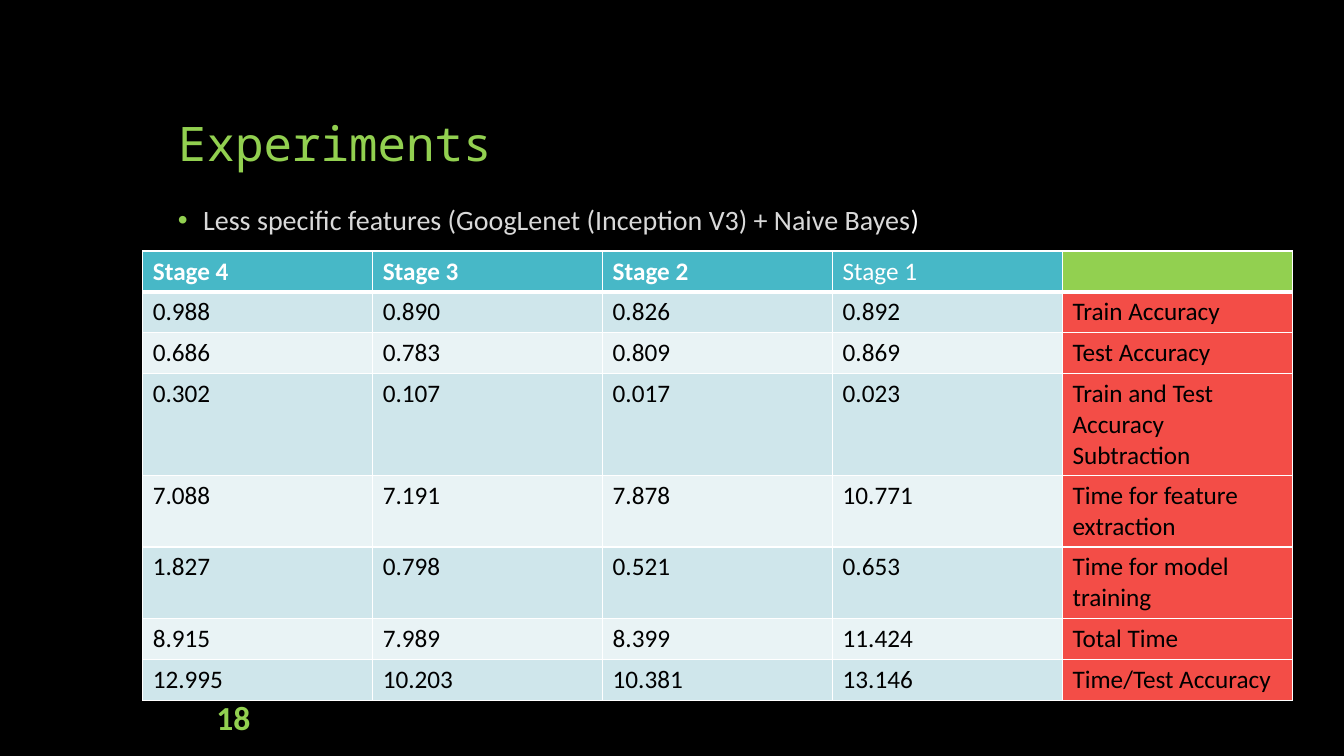
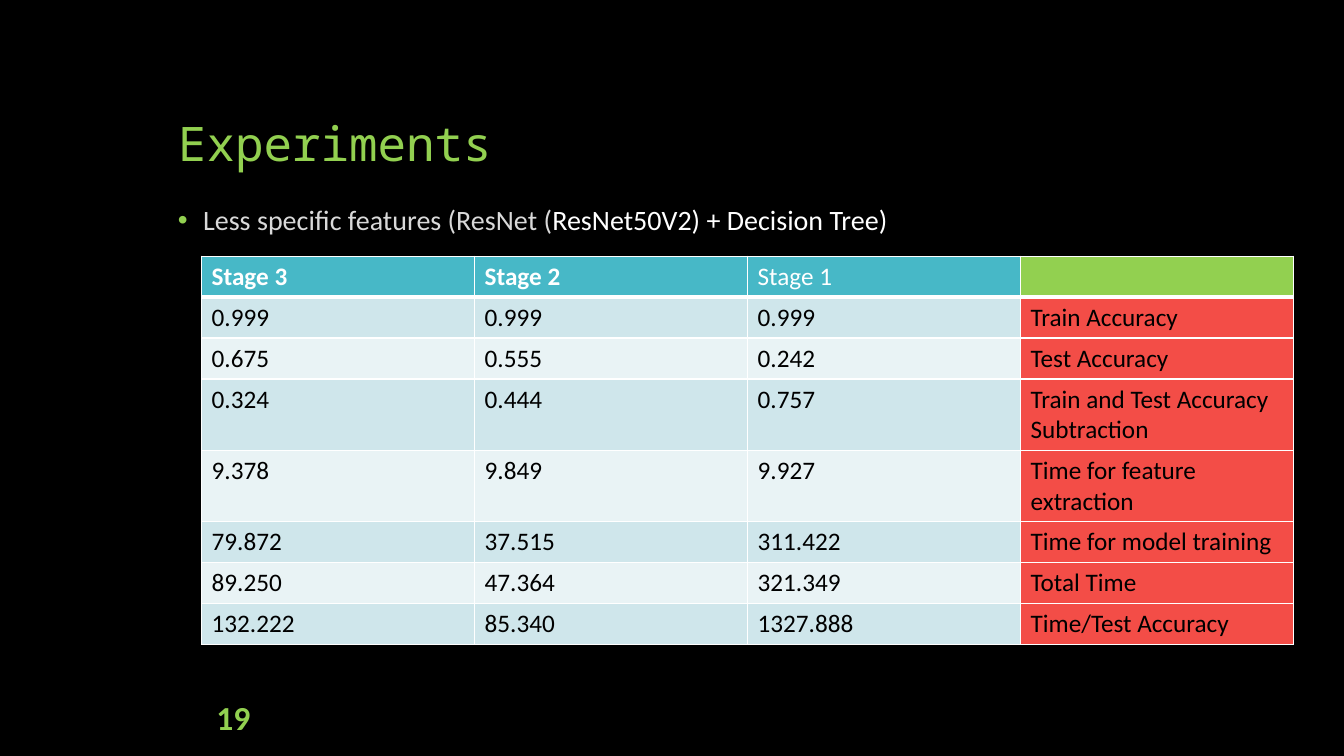
from lxml import etree
from pptx import Presentation
from pptx.dml.color import RGBColor
from pptx.enum.text import MSO_ANCHOR as Anchor, MSO_AUTO_SIZE as AutoSize, PP_ALIGN as Align
from pptx.oxml.ns import qn
from pptx.util import Pt

PX = 9525  # EMU in one px, 96 px to the inch
COLORS = {
    "black": "000000", "white": "FFFFFF", "green": "92D050", "gray": "D9D9D9",
    "teal": "47B8C7", "band_dark": "CFE6EB", "band_light": "E9F3F5", "red": "F34D47",
}
TITLE_FONT, BODY_FONT = "Noto Sans Mono", "Calibri"

# Boxes shared by the slides: left, top, width, height
SLIDE_SIZE = (1280, 720)
TITLE_BOX = (160, 48, 960, 120)
BULLET_BOX = (160, 192, 960, 448)
NUMBER_BOX = (160, 669, 88, 27)
ROW_HEIGHT, EXTRA_LINE = 39, 29

MEASURES = [
    "Train Accuracy", "Test Accuracy", "Train and Test Accuracy Subtraction",
    "Time for feature extraction", "Time for model training",
    "Total Time", "Time/Test Accuracy",
]

EXPERIMENTS = [
    {
        "number": "18",
        "bullet": [("Less specific features (GoogLenet (Inception V3) + Naive Bayes", "gray"),
                   (")", "white")],
        "origin": (136, 239), "column": 219,
        "lines": [1, 1, 1, 3, 2, 2, 1, 1],
        "stages": ["Stage 4", "Stage 3", "Stage 2", "Stage 1"],
        "results": [
            ["0.988", "0.890", "0.826", "0.892"],
            ["0.686", "0.783", "0.809", "0.869"],
            ["0.302", "0.107", "0.017", "0.023"],
            ["7.088", "7.191", "7.878", "10.771"],
            ["1.827", "0.798", "0.521", "0.653"],
            ["8.915", "7.989", "8.399", "11.424"],
            ["12.995", "10.203", "10.381", "13.146"],
        ],
    },
    {
        "number": "19",
        "bullet": [("Less specific features (ResNet (", "gray"),
                   ("ResNet50V2) + Decision Tree)", "white")],
        "origin": (192, 244), "column": 260,
        "lines": [1, 1, 1, 2, 2, 1, 1, 1],
        "stages": ["Stage 3", "Stage 2", "Stage 1"],
        "results": [
            ["0.999", "0.999", "0.999"],
            ["0.675", "0.555", "0.242"],
            ["0.324", "0.444", "0.757"],
            ["9.378", "9.849", "9.927"],
            ["79.872", "37.515", "311.422"],
            ["89.250", "47.364", "321.349"],
            ["132.222", "85.340", "1327.888"],
        ],
    },
]


def rgb(name):
    return RGBColor.from_string(COLORS[name])


def emu(box):
    return [length * PX for length in box]


def set_format(target, **values):
    for name, value in values.items():
        setattr(target, name, value)


def add_run(paragraph, text, color, size, font=BODY_FONT, bold=False):
    run = paragraph.add_run()
    run.text = text
    set_format(run.font, name=font, size=Pt(size), bold=bold)
    run.font.color.rgb = rgb(color)


def add_title(slide, box, text):
    title = slide.shapes.title
    set_format(title, **dict(zip(("left", "top", "width", "height"), emu(box))))
    set_format(title.text_frame, word_wrap=True, auto_size=AutoSize.NONE,
               vertical_anchor=Anchor.BOTTOM)
    heading = title.text_frame.paragraphs[0]
    set_format(heading, alignment=Align.LEFT, line_spacing=0.9)
    add_run(heading, text, "green", 34, TITLE_FONT)


def add_bullet(slide, box, runs):
    frame = slide.shapes.add_textbox(*emu(box)).text_frame
    frame.word_wrap = True
    point = frame.paragraphs[0]
    set_format(point, line_spacing=0.9, space_before=Pt(18))
    for text, color in runs:
        add_run(point, text, color, 20)
    # Hanging green bullet
    props = point._p.get_or_add_pPr()
    props.set("marL", str(24 * PX))
    props.set("indent", str(-24 * PX))
    bullet_color = etree.SubElement(props, qn("a:buClr"))
    etree.SubElement(bullet_color, qn("a:srgbClr"), val=COLORS["green"])
    etree.SubElement(props, qn("a:buFont"), typeface="Arial")
    etree.SubElement(props, qn("a:buChar"), char="•")


def add_number(slide, box, number):
    frame = slide.shapes.add_textbox(*emu(box)).text_frame
    set_format(frame, word_wrap=True, vertical_anchor=Anchor.MIDDLE)
    frame.paragraphs[0].alignment = Align.RIGHT
    add_run(frame.paragraphs[0], number, "green", 24, bold=True)


def style_cell(cell, fill, borders):
    props = cell._tc.get_or_add_tcPr()
    for side, width in borders.items():
        line = etree.SubElement(props, qn(f"a:ln{side}"), w=str(Pt(width)))
        paint = etree.SubElement(line, qn("a:solidFill"))
        etree.SubElement(paint, qn("a:srgbClr"), val=COLORS["white"])
    cell.fill.solid()
    cell.fill.fore_color.rgb = rgb(fill)


def add_results(slide, origin, column, lines, stages, results):
    heights = [ROW_HEIGHT + EXTRA_LINE * (count - 1) for count in lines]
    rows = [stages + [""]] + [values + [name] for values, name in zip(results, MEASURES)]
    last = len(stages)
    box = (*origin, column * (last + 1), sum(heights))
    table = slide.shapes.add_table(len(rows), last + 1, *emu(box)).table
    set_format(table, first_row=False, horz_banding=False)
    for grid_column in table.columns:
        grid_column.width = column * PX
    for r, texts in enumerate(rows):
        table.rows[r].height = heights[r] * PX
        header = r == 0
        band = "teal" if header else "band_dark" if r % 2 else "band_light"
        side_fill = "green" if header else "red"
        # Thick rule between header and body
        borders = {"L": 1, "R": 1, "T": 3 if r == 1 else 1, "B": 3 if header else 1}
        for c, text in enumerate(texts):
            cell = table.cell(r, c)
            style_cell(cell, side_fill if c == last else band, borders)
            if text:
                add_run(cell.text_frame.paragraphs[0], text,
                        "white" if header else "black", 18,
                        bold=header and text != "Stage 1")


def add_experiment(deck, number, bullet, **results):
    slide = deck.slides.add_slide(deck.slide_layouts.get_by_name("Title Only"))
    add_title(slide, TITLE_BOX, "Experiments")
    add_bullet(slide, BULLET_BOX, bullet)
    add_number(slide, NUMBER_BOX, number)
    add_results(slide, **results)


def main():
    deck = Presentation()
    deck.slide_width, deck.slide_height = emu(SLIDE_SIZE)
    # Shared background
    backdrop = deck.slide_master.background.fill
    backdrop.solid()
    backdrop.fore_color.rgb = rgb("black")
    for experiment in EXPERIMENTS:
        add_experiment(deck, **experiment)
    deck.save("out.pptx")


if __name__ == "__main__":
    main()
